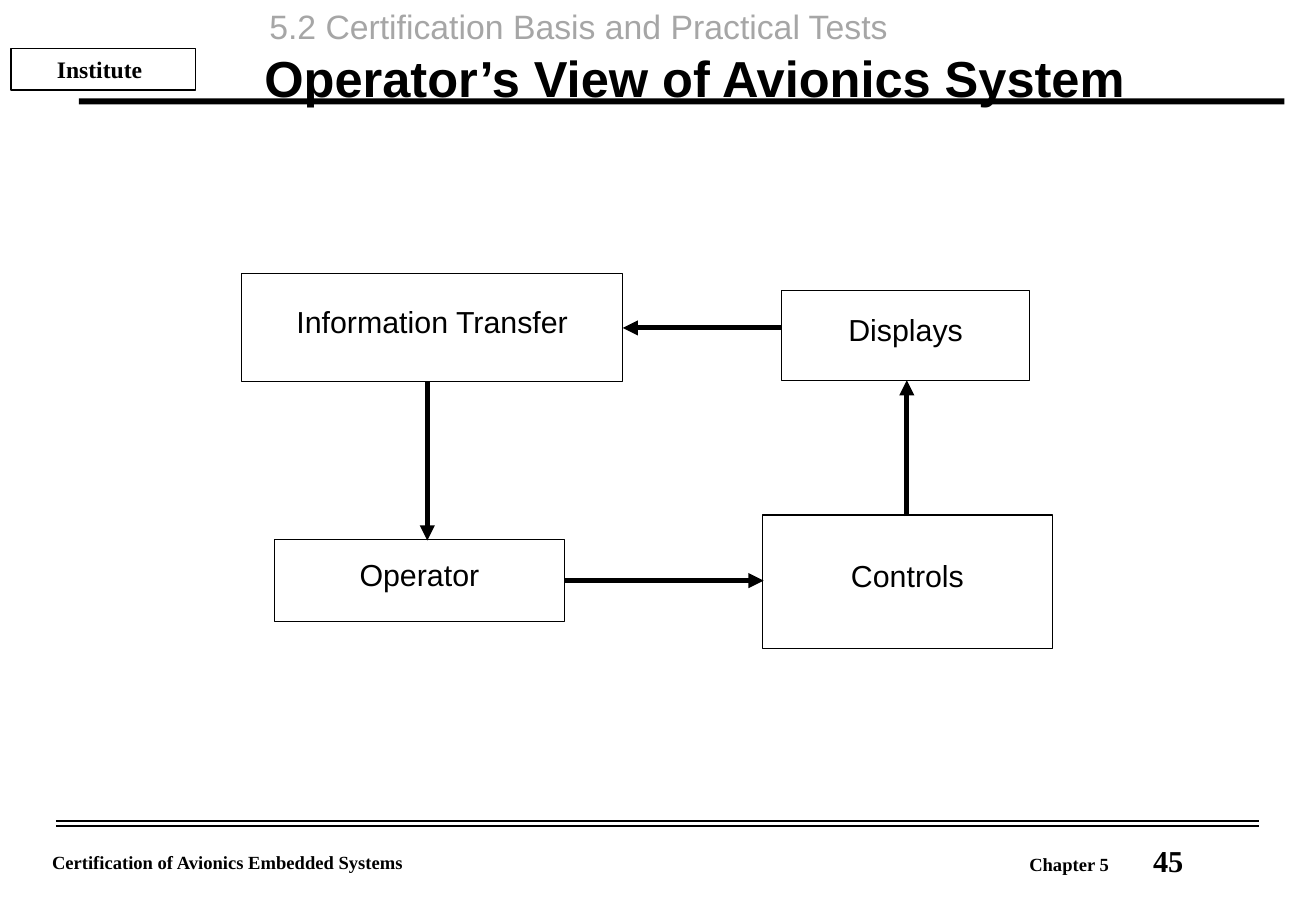
from dataclasses import dataclass

from lxml.etree import SubElement
from pptx import Presentation
from pptx.dml.color import RGBColor
from pptx.enum.shapes import MSO_CONNECTOR, MSO_SHAPE
from pptx.enum.text import MSO_ANCHOR, PP_ALIGN
from pptx.oxml.ns import qn
from pptx.util import Inches, Pt


@dataclass(frozen=True)
class Theme:
    black: RGBColor = RGBColor(0x00, 0x00, 0x00)
    white: RGBColor = RGBColor(0xFF, 0xFF, 0xFF)
    grey: RGBColor = RGBColor(0xA6, 0xA6, 0xA6)
    sans: str = "Arial"
    serif: str = "Times New Roman"
    title: int = 30
    section: int = 20
    body: int = 18
    badge: int = 14
    footer: int = 11
    thin: float = 0.75
    rule: float = 1
    arrow: float = 3


class SlideBuilder:
    def __init__(self, page, theme):
        self.page = page
        self.theme = theme

    def style_text(self, frame, text, size, font, color, bold, insets):
        """Fill a text frame; insets are left, top, right and bottom inches."""
        frame.word_wrap = True
        frame.margin_left, frame.margin_top, frame.margin_right, frame.margin_bottom = map(Inches, insets)
        para = frame.paragraphs[0]
        para.text = text
        span = para.runs[0].font
        span.size, span.name, span.bold = Pt(size), font, bold
        span.color.rgb = color
        return para

    def text(self, place, text, size, font, color=None, bold=False, line_spacing=None):
        box = self.page.shapes.add_textbox(*map(Inches, place))
        para = self.style_text(box.text_frame, text, size, font, color or self.theme.black,
                               bold, (0.1, 0.05, 0.1, 0.05))
        para.line_spacing = line_spacing

    def rectangle(self, place, fill=None, line_width=None):
        shape = self.page.shapes.add_shape(MSO_SHAPE.RECTANGLE, *map(Inches, place))
        shape.shadow.inherit = False
        if fill is None:
            shape.fill.background()
        else:
            shape.fill.solid()
            shape.fill.fore_color.rgb = fill
        if line_width is None:
            shape.line.fill.background()
        else:
            shape.line.color.rgb = self.theme.black
            shape.line.width = Pt(line_width)
        return shape

    def label(self, shape, text, size, font, bold=False, insets=(0, 0, 0, 0)):
        """Centre a caption inside a shape."""
        para = self.style_text(shape.text_frame, text, size, font, self.theme.black, bold, insets)
        para.alignment = PP_ALIGN.CENTER
        shape.text_frame.vertical_anchor = MSO_ANCHOR.MIDDLE

    def block(self, place, text):
        shape = self.rectangle(place, line_width=self.theme.thin)
        # The bottom inset lifts captions slightly above the middle
        self.label(shape, text, self.theme.body, self.theme.sans, insets=(0, 0, 0, 0.1))

    def line(self, start, end, width, arrow=False):
        connector = self.page.shapes.add_connector(
            MSO_CONNECTOR.STRAIGHT, *map(Inches, (*start, *end)))
        connector.line.color.rgb = self.theme.black
        connector.line.width = Pt(width)
        if arrow:
            SubElement(connector.line._get_or_add_ln(), qn("a:tailEnd"), type="triangle")
        SubElement(connector._element.spPr, qn("a:effectLst"))


def add_frame(slide):
    """Draw the header and footer around the diagram."""
    theme = slide.theme
    badge = slide.rectangle((0.09, 0.4, 1.52, 0.34), theme.white, theme.rule)
    slide.label(badge, "Institute", theme.badge, theme.serif, bold=True, insets=(0, 0, 0.06, 0))
    slide.text((2.12, 0, 5.96, 0.44), "5.2 Certification Basis and Practical Tests",
               theme.section, theme.sans, theme.grey)
    slide.rectangle((0.65, 0.81, 9.93, 0.05), theme.black)
    slide.text((2.08, 0.3, 8.21, 1.25), "Operator’s View of Avionics System",
               theme.title, theme.sans, bold=True, line_spacing=1.08)
    for height in (6.76, 6.8):
        slide.line((0.46, height), (10.37, height), theme.rule)
    slide.text((0.33, 6.96, 4.55, 0.28), "Certification of Avionics Embedded Systems",
               theme.footer, theme.serif, bold=True)
    slide.text((8.38, 6.97, 1.12, 0.28), "Chapter 5", theme.footer, theme.serif, bold=True)
    slide.text((9.4, 6.92, 1.33, 0.37), "45", theme.body, theme.serif, bold=True, line_spacing=0.9)


def add_control_loop(slide):
    blocks = {
        "Operator": (2.26, 4.44, 2.39, 0.68),
        "Controls": (6.28, 4.24, 2.39, 1.1),
        "Displays": (6.44, 2.39, 2.04, 0.74),
        "Information Transfer": (1.99, 2.25, 3.14, 0.89),
    }
    for name, place in blocks.items():
        slide.block(place, name)
    arrows = [
        ((4.65, 4.78), (6.29, 4.78)),
        ((7.47, 4.25), (7.47, 3.13)),
        ((6.43, 2.7), (5.13, 2.7)),
        ((3.52, 3.14), (3.52, 4.45)),
    ]
    for start, end in arrows:
        slide.line(start, end, slide.theme.arrow, arrow=True)


def main():
    deck = Presentation()
    deck.slide_width, deck.slide_height = Inches(10.84), Inches(7.5)
    slide = SlideBuilder(deck.slides.add_slide(deck.slide_layouts[6]), Theme())
    add_frame(slide)
    add_control_loop(slide)
    deck.save("out.pptx")


if __name__ == "__main__":
    main()
